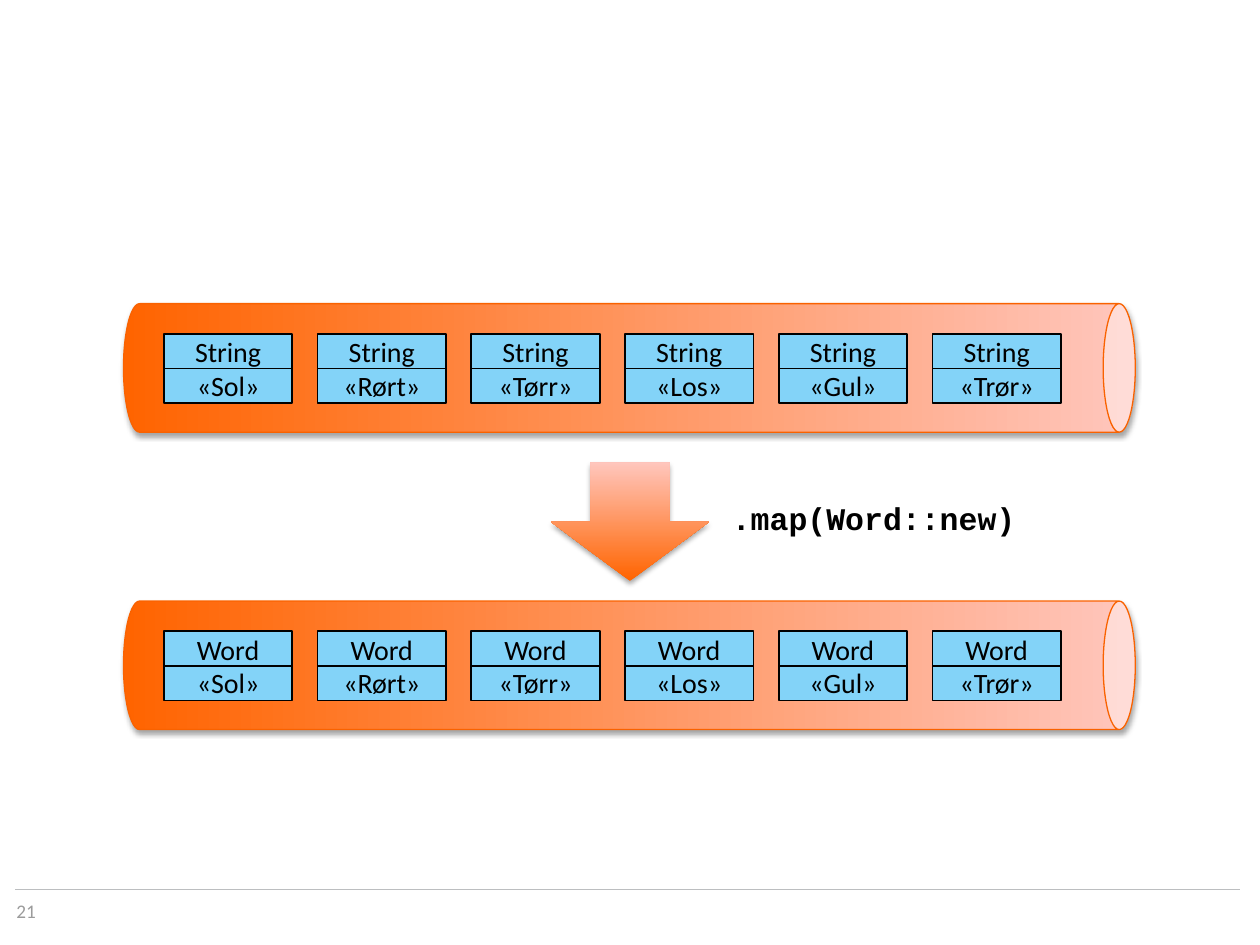
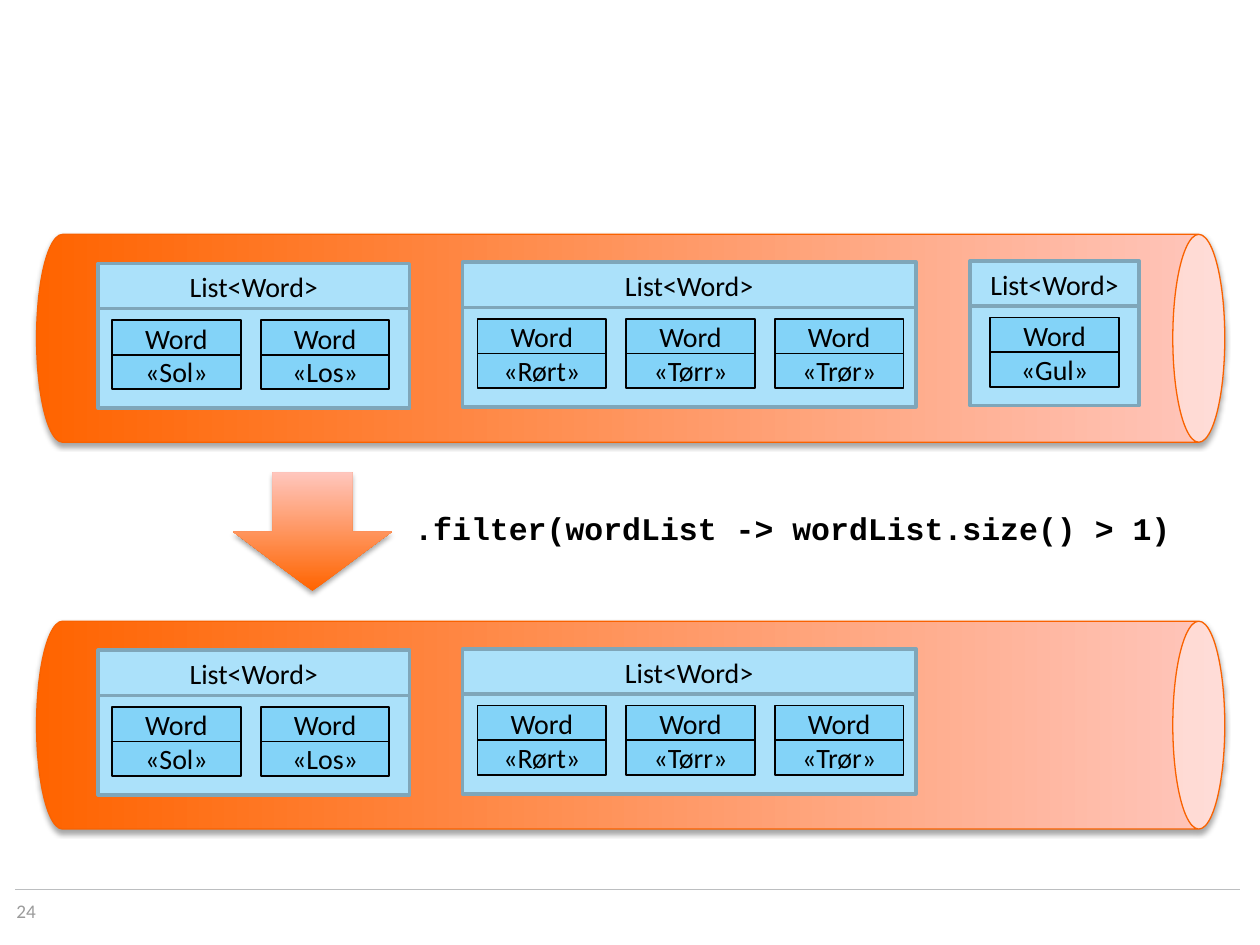
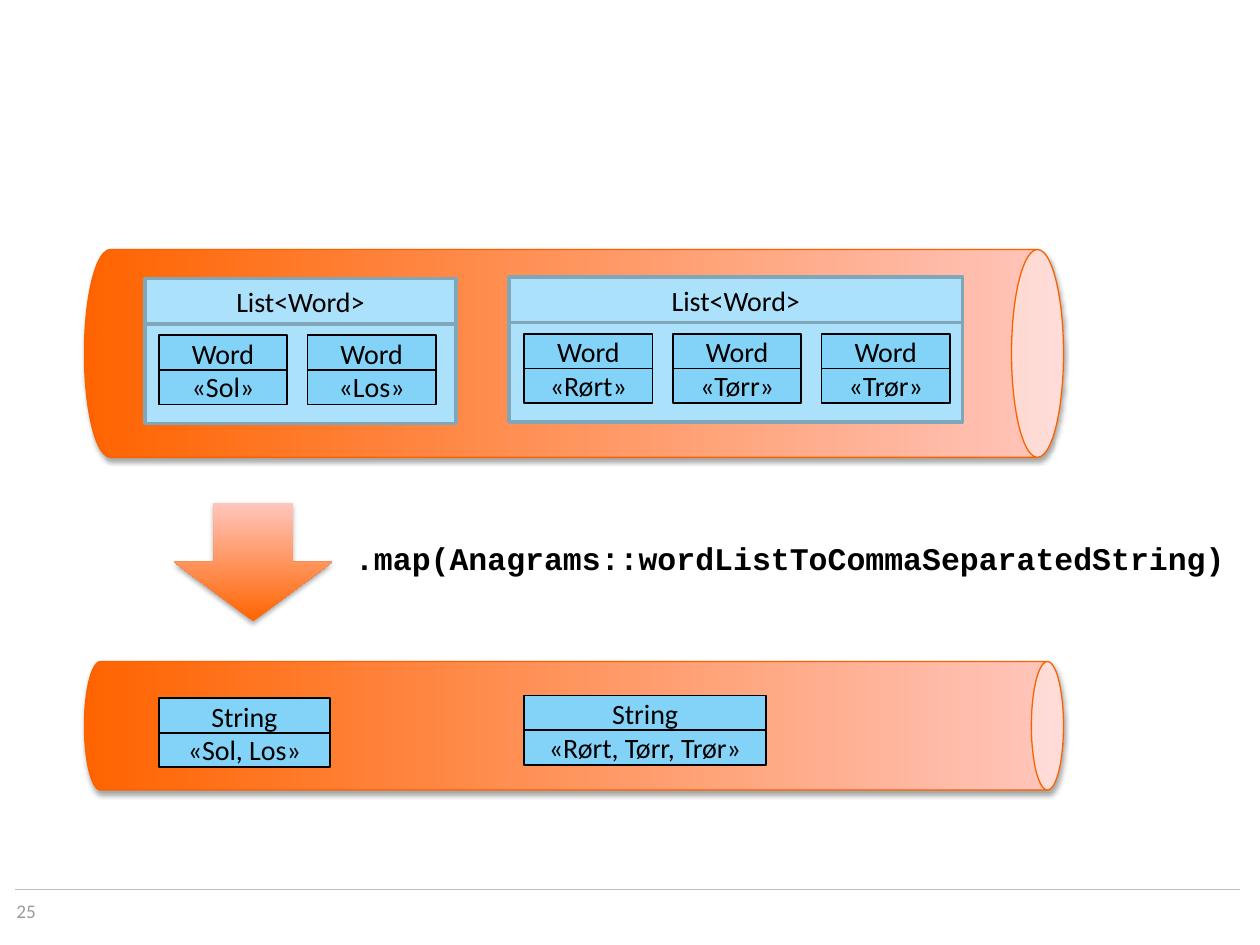
import pptx
import pptx.dml.color
import pptx.enum.shapes
import pptx.enum.text
import pptx.oxml
import pptx.oxml.ns
import pptx.util
from pptx.util import Inches

SHAPE = pptx.enum.shapes.MSO_SHAPE
ANCHOR = pptx.enum.text.MSO_ANCHOR
ALIGN = pptx.enum.text.PP_ALIGN

BLACK = "000000"
WORD_FILL = "83D3F8"
LIST_FILL = "ABE1FA"
LIST_LINE = "7FA6B9"
FLOW_DARK = "FF6400"
FLOW_LIGHT = "FFC6BD"
PIPE_LINE = "F96200"
FOOTER_LINE = "BCBEC0"
FOOTER_TEXT = "9B9B9B"

LABEL_FONT = {"name": "Calibri", "size": pptx.util.Pt(16)}
NUMBER_FONT = {"name": "Calibri", "size": pptx.util.Pt(11)}
CODE_FONT = {"name": "Courier New", "size": pptx.util.Pt(18), "bold": True}
NO_MARGINS = dict.fromkeys(
    ("margin_left", "margin_top", "margin_right", "margin_bottom"), 0)

WORD_WIDTH, WORD_HEIGHT = 1.02, 0.55
LIST_HEIGHT, LIST_HEADER = 1.15, 0.36
STREAM_PITCH, LIST_PITCH = 1.22, 1.18

SHADOW = (
    '<a:outerShdw %s blurRad="39370" dist="22860" dir="5400000" rotWithShape="0">'
    '<a:srgbClr val="000000"><a:alpha val="35000"/></a:srgbClr></a:outerShdw>'
    % pptx.oxml.ns.nsdecls("a"))


def colour(value):
    return pptx.dml.color.RGBColor.from_string(value)


def apply(target, formats):
    for attribute, value in formats.items():
        setattr(target, attribute, value)


def write(frame, lines, font, ink, align):
    for index, line in enumerate(lines):
        paragraph = frame.paragraphs[0] if index == 0 else frame.add_paragraph()
        paragraph.alignment = align
        run = paragraph.add_run()
        run.text = line
        apply(run.font, font)
        run.font.color.rgb = colour(ink)


def add_rule(slide, left, right, y, ink, weight):
    rule = slide.shapes.add_connector(
        pptx.enum.shapes.MSO_CONNECTOR.STRAIGHT,
        Inches(left), Inches(y), Inches(right), Inches(y))
    rule.line.color.rgb = colour(ink)
    rule.line.width = pptx.util.Pt(weight)
    rule._element.spPr.append(pptx.oxml.parse_xml(
        "<a:effectLst %s/>" % pptx.oxml.ns.nsdecls("a")))


def add_text(slide, box, text, font, ink, formats):
    caption = slide.shapes.add_textbox(*map(Inches, box))
    apply(caption.text_frame, formats)
    write(caption.text_frame, [text], font, ink, ALIGN.LEFT)


def add_footer(slide, number):
    add_rule(slide, 0.12, 9.84, 7.06, FOOTER_LINE, 0.75)
    add_text(slide, (0.13, 7.14, 0.79, 0.2), number, NUMBER_FONT, FOOTER_TEXT,
             {"word_wrap": True, **NO_MARGINS})


def add_flow_shape(slide, kind, box):
    flow = slide.shapes.add_shape(kind, *map(Inches, box))
    flow.fill.gradient()
    flow.fill.gradient_angle = 90
    for stop, shade in zip(flow.fill.gradient_stops, (FLOW_DARK, FLOW_LIGHT)):
        stop.color.rgb = colour(shade)
    flow.shadow.inherit = False
    effects = flow._element.spPr.find(pptx.oxml.ns.qn("a:effectLst"))
    effects.append(pptx.oxml.parse_xml(SHADOW))
    return flow


def add_pipe(slide, left, top, length, thickness):
    shift = (length - thickness) / 2
    pipe = add_flow_shape(
        slide, SHAPE.CAN, (left + shift, top - shift, thickness, length))
    pipe.rotation = 90
    pipe.line.color.rgb = colour(PIPE_LINE)
    pipe.line.width = pptx.util.Pt(0.75)


def add_step(slide, left, top, code):
    arrow = add_flow_shape(slide, SHAPE.DOWN_ARROW, (left, top, 1.26, 0.94))
    arrow.line.fill.background()
    add_text(slide, (left + 1.34, top + 0.24, 0.15 * len(code) + 0.2, 0.4),
             code, CODE_FONT, BLACK,
             {"word_wrap": False,
              "auto_size": pptx.enum.text.MSO_AUTO_SIZE.SHAPE_TO_FIT_TEXT})


def add_box(slide, box, lines, fill, edge, weight, anchor, divider):
    left, top, width, height = box
    body = slide.shapes.add_shape(SHAPE.RECTANGLE, *map(Inches, box))
    body.shadow.inherit = False
    body.fill.solid()
    body.fill.fore_color.rgb = colour(fill)
    body.line.color.rgb = colour(edge)
    body.line.width = pptx.util.Pt(weight)
    body.text_frame.word_wrap = True
    body.text_frame.vertical_anchor = anchor
    write(body.text_frame, lines, LABEL_FONT, BLACK, ALIGN.CENTER)
    add_rule(slide, left, left + width, top + divider, edge, weight)


def add_object(slide, left, top, kind, value, width=WORD_WIDTH):
    add_box(slide, (left, top, width, WORD_HEIGHT), (kind, f"«{value}»"),
            WORD_FILL, BLACK, 1, ANCHOR.MIDDLE, WORD_HEIGHT / 2)


def add_row(slide, left, top, kind, values, pitch):
    for index, value in enumerate(values):
        add_object(slide, left + index * pitch, top, kind, value)


def add_list(slide, left, top, width, words, pad=0.12):
    add_box(slide, (left, top, width, LIST_HEIGHT), ["List<Word>"],
            LIST_FILL, LIST_LINE, 2, ANCHOR.TOP, LIST_HEADER)
    add_row(slide, left + pad, top + 0.45, "Word", words, LIST_PITCH)


def add_anagram_lists(slide, left, top):
    add_list(slide, left, top + 0.01, 2.47, ("Sol", "Los"), pad=0.11)
    add_list(slide, left + 2.89, top, 3.6, ("Rørt", "Tørr", "Trør"))


def build_map_to_word(slide):
    words = ("Sol", "Rørt", "Tørr", "Los", "Gul", "Trør")
    for top, kind in ((2.41, "String"), (4.77, "Word")):
        add_pipe(slide, 0.98, top, 8.03, 1.02)
        add_row(slide, 1.3, top + 0.24, kind, words, STREAM_PITCH)
    add_step(slide, 4.37, 3.67, ".map(Word::new)")


def build_filter_lists(slide):
    for top in (1.86, 4.93):
        add_pipe(slide, 0.29, top, 9.43, 1.65)
        add_anagram_lists(slide, 0.78, top + 0.22)
    add_list(slide, 7.7, 2.07, 1.34, ["Gul"], pad=0.16)
    add_step(slide, 1.85, 3.75, ".filter(wordList -> wordList.size() > 1)")


def build_map_to_string(slide):
    add_pipe(slide, 0.67, 1.98, 7.77, 1.65)
    add_anagram_lists(slide, 1.15, 2.2)
    add_step(slide, 1.38, 3.99, ".map(Anagrams::wordListToCommaSeparatedString)")
    add_pipe(slide, 0.67, 5.25, 7.77, 1.02)
    add_object(slide, 1.26, 5.54, "String", "Sol, Los", 1.36)
    add_object(slide, 4.16, 5.52, "String", "Rørt, Tørr, Trør", 1.92)


def main():
    deck = pptx.Presentation()
    deck.slide_width, deck.slide_height = Inches(10), Inches(7.5)
    stages = (("21", build_map_to_word),
              ("24", build_filter_lists),
              ("25", build_map_to_string))
    for number, build in stages:
        slide = deck.slides.add_slide(deck.slide_layouts[6])
        add_footer(slide, number)
        build(slide)
    deck.save("out.pptx")


if __name__ == "__main__":
    main()
